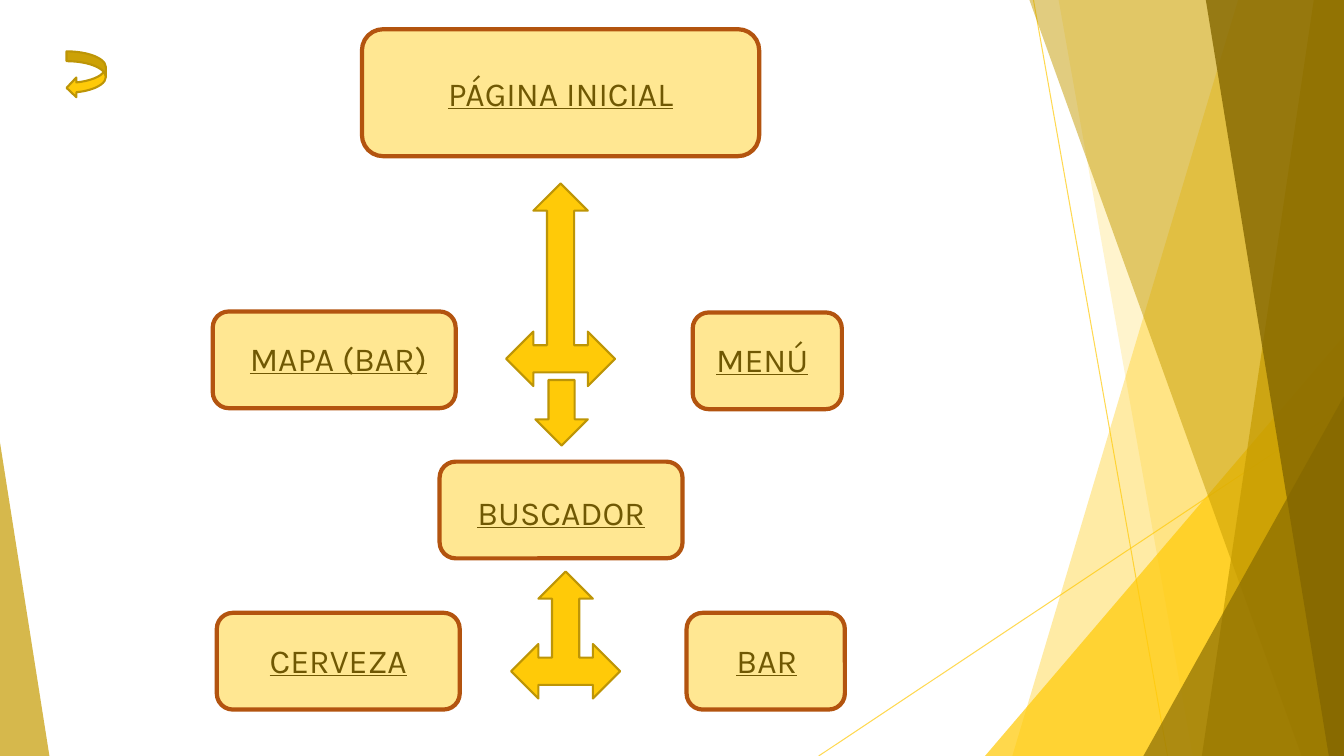
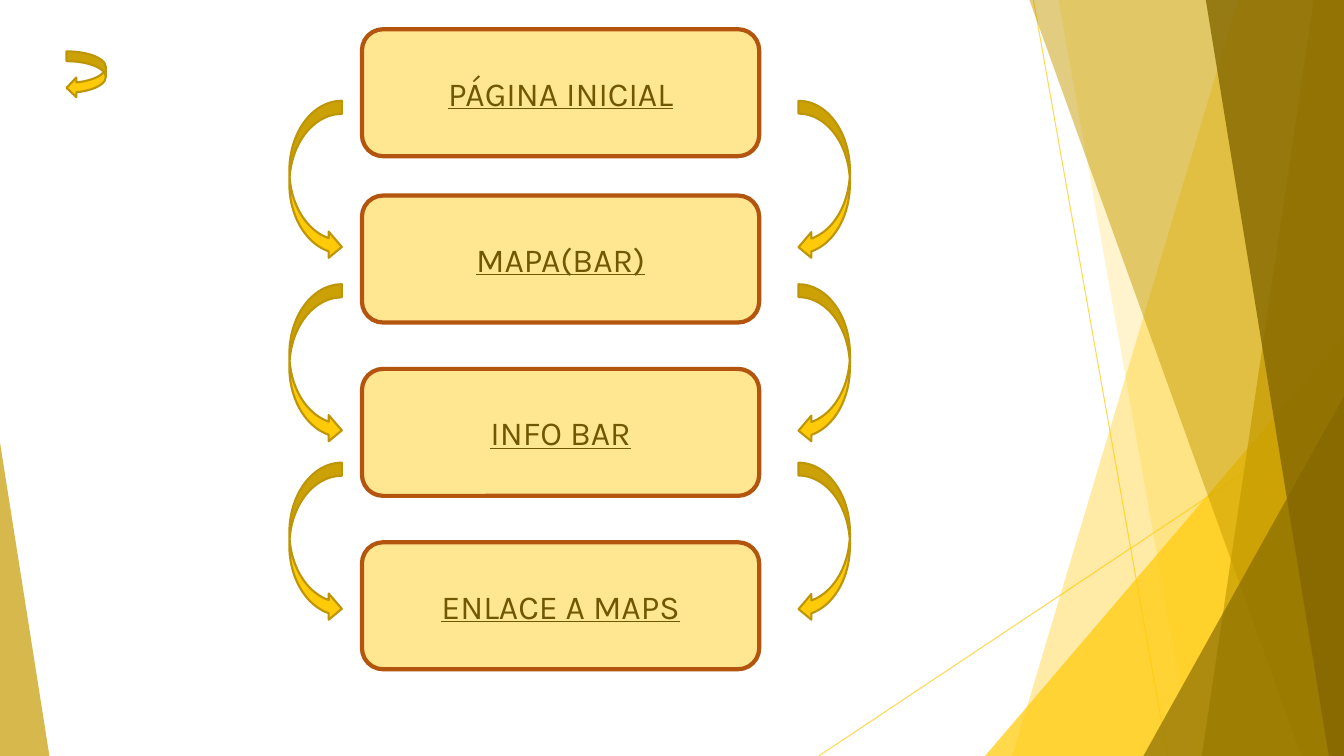
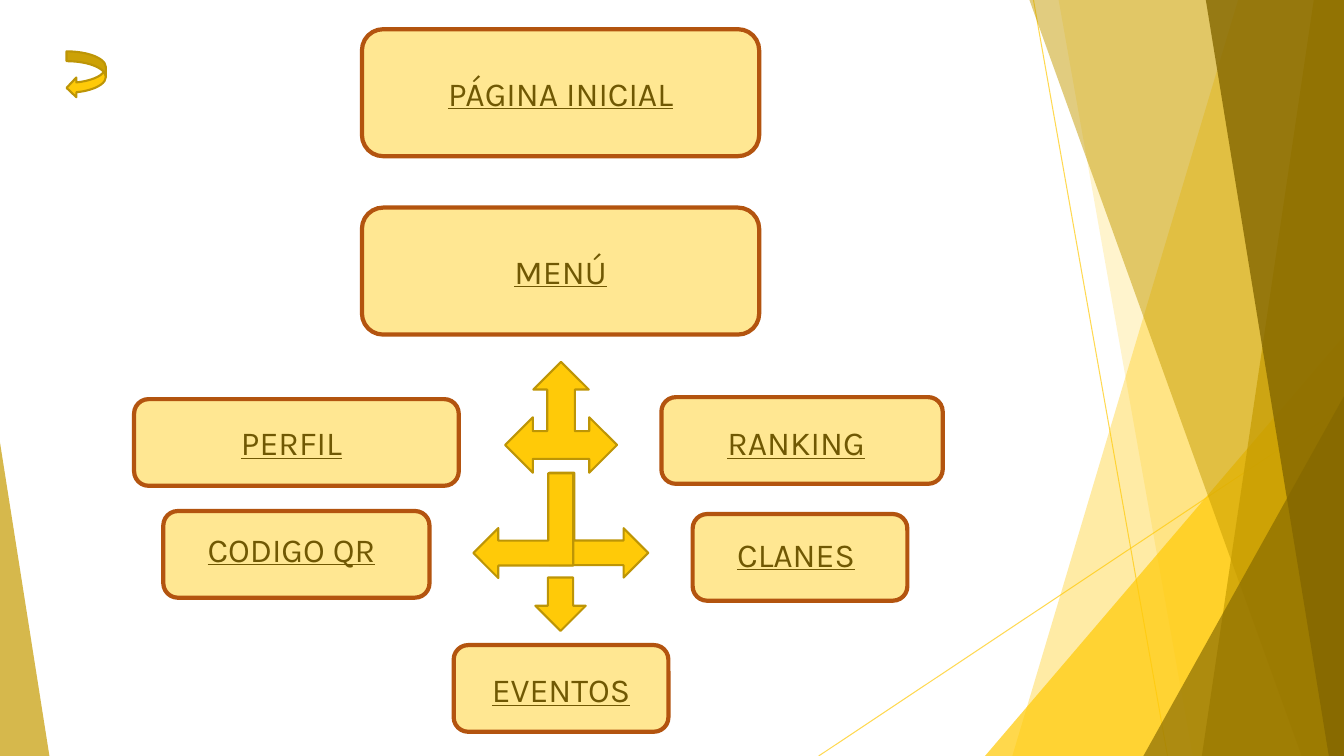
from pptx import Presentation
from pptx.dml.color import RGBColor
from pptx.enum.shapes import MSO_CONNECTOR, MSO_SHAPE
from pptx.enum.text import MSO_ANCHOR, PP_ALIGN
from pptx.oxml.ns import qn
from pptx.util import Inches, Pt
from lxml import etree

# Enum members
LINE = MSO_CONNECTOR.STRAIGHT
TRIANGLE = MSO_SHAPE.ISOSCELES_TRIANGLE
ROUNDED = MSO_SHAPE.ROUNDED_RECTANGLE
THREE_WAY = MSO_SHAPE.LEFT_RIGHT_UP_ARROW
DOWN = MSO_SHAPE.DOWN_ARROW
BENT = MSO_SHAPE.BENT_UP_ARROW
CURVED_LEFT = MSO_SHAPE.CURVED_LEFT_ARROW
CURVED_RIGHT = MSO_SHAPE.CURVED_RIGHT_ARROW
CENTER = PP_ALIGN.CENTER
MIDDLE = MSO_ANCHOR.MIDDLE

# Theme
WIDTH, HEIGHT = 13.33, 7.5
YELLOW, GOLD, OLIVE = "FFCA08", "C59B00", "846700"
ARROW_EDGE, BOX_EDGE, TEXT = "BD9506", "B3540F", "000000"
FONT = "Karla"
LABEL_W, LABEL_H = 2.91, 0.5
MAIN_X, MAIN_Y, MAIN_W, MAIN_H = 3.59, 0.29, 3.94, 1.26

# Bands on the right: top left, bottom left, colour, opacity
BANDS_BACK = [(12.28, 10.04, YELLOW, 36), (10.5, 11.83, YELLOW, 20)]
BANDS_FRONT = [(10.21, 12.91, GOLD, 50), (13.03, 11.92, GOLD, 70),
               (11.96, 13.18, OLIVE, 80)]


def rgb(color):
    return RGBColor.from_string(color)


def set_alpha(sp, percent):
    for clr in sp._element.spPr.iter(qn("a:srgbClr")):
        etree.SubElement(clr, qn("a:alpha")).set("val", str(percent * 1000))


def style(sp, color, alpha=100, edge=None, edge_pt=1.5):
    sp.shadow.inherit = False
    sp.fill.solid()
    sp.fill.fore_color.rgb = rgb(color)
    if alpha < 100:
        set_alpha(sp, alpha)
    if edge:
        sp.line.color.rgb = rgb(edge)
        sp.line.width = Pt(edge_pt)
    else:
        sp.line.fill.background()


def add_preset(s, kind, x, y, w, h):
    return s.shapes.add_shape(kind, Inches(x), Inches(y), Inches(w), Inches(h))


# Backdrop
def add_ray(s, x1, y1, x2, y2):
    cn = s.shapes.add_connector(LINE, Inches(x1), Inches(y1), Inches(x2), Inches(y2))
    cn.line.color.rgb = rgb(YELLOW)
    cn.line.width = Pt(0.75)
    set_alpha(cn, 70)
    etree.SubElement(cn._element.spPr, qn("a:effectLst"))


def add_band(s, top_x, bottom_x, color, alpha):
    fb = s.shapes.build_freeform(Inches(top_x), 0)
    corners = [(WIDTH, 0), (WIDTH, HEIGHT), (bottom_x, HEIGHT)]
    fb.add_line_segments([(Inches(x), Inches(y)) for x, y in corners], close=True)
    style(fb.convert_to_shape(), color, alpha)


def add_corner(s, x, y, w, apex, color, alpha):
    sp = add_preset(s, TRIANGLE, x, y, w, HEIGHT - y)
    sp.adjustments[0] = apex
    style(sp, color, alpha)


def add_backdrop(s):
    add_ray(s, 10.25, 0, 11.58, HEIGHT)
    add_ray(s, WIDTH, 4.03, 8.12, HEIGHT)
    for band in BANDS_BACK:
        add_band(s, *band)
    add_corner(s, 9.77, 3.33, 3.56, 1, YELLOW, 72)
    for band in BANDS_FRONT:
        add_band(s, *band)
    add_corner(s, 11.34, 3.93, 1.99, 1, OLIVE, 66)
    add_corner(s, 0, 4.39, 0.49, 0, GOLD, 70)


# Diagram elements
def add_arrow(s, kind, x, y, w, h, rotation=0, flip=False):
    sp = add_preset(s, kind, x, y, w, h)
    style(sp, YELLOW, edge=ARROW_EDGE)
    sp.rotation = rotation
    if flip:
        sp._element.spPr.find(qn("a:xfrm")).set("flipV", "1")


def add_label(s, text, cx, cy):
    tb = s.shapes.add_textbox(Inches(cx - LABEL_W / 2), Inches(cy - LABEL_H / 2),
                              Inches(LABEL_W), Inches(LABEL_H))
    tf = tb.text_frame
    tf.word_wrap = True
    tf.vertical_anchor = MIDDLE
    p = tf.paragraphs[0]
    p.alignment = CENTER
    r = p.add_run()
    r.text = text
    r.font.name = FONT
    r.font.size = Pt(24)
    r.font.underline = True
    r.font.color.rgb = rgb(TEXT)


def add_box(s, text, x, y, w, h, dx=0, dy=0):
    """Tinted glass box over its label; dx and dy shift the label off centre."""
    add_label(s, text, x + w / 2 + dx, y + h / 2 + dy)
    style(add_preset(s, ROUNDED, x, y, w, h), YELLOW, 44, BOX_EDGE, 3)


def add_main_box(s, text, y):
    add_box(s, text, MAIN_X, y, MAIN_W, MAIN_H)


def new_slide(prs):
    s = prs.slides.add_slide(prs.slide_layouts[6])
    add_backdrop(s)
    add_arrow(s, CURVED_LEFT, 0.66, 0.51, 0.39, 0.46)
    add_main_box(s, "PÁGINA INICIAL", MAIN_Y)
    return s


# Slides
def home_slide(prs):
    s = new_slide(prs)
    add_arrow(s, THREE_WAY, 5.02, 1.82, 1.08, 2.01)
    add_arrow(s, DOWN, 5.31, 3.77, 0.52, 0.65)
    add_arrow(s, THREE_WAY, 5.07, 5.67, 1.08, 1.26)
    h = 0.96
    add_box(s, "MAPA (BAR)", 2.11, 3.09, 2.41, h, 0.04, -0.02)
    add_box(s, "MENÚ", 6.87, 3.1, 1.48, h, -0.05, -0.02)
    add_box(s, "BUSCADOR", 4.36, 4.58, 2.41, h, 0, 0.02)
    add_box(s, "CERVEZA", 2.15, 6.08, 2.41, h, 0, -0.01)
    add_box(s, "BAR", 6.81, 6.08, 1.57, h, 0.01, -0.01)


def map_slide(prs):
    s = new_slide(prs)
    for i, text in enumerate(["MAPA(BAR)", "INFO BAR", "ENLACE A MAPS"]):
        add_main_box(s, text, 1.94 + 1.72 * i)
    for y in (1, 2.82, 4.59):
        add_arrow(s, CURVED_LEFT, 7.92, y, 0.51, 1.58)
        add_arrow(s, CURVED_RIGHT, 2.87, y, 0.52, 1.58)


def menu_slide(prs):
    s = new_slide(prs)
    add_main_box(s, "MENÚ", 2.06)
    add_arrow(s, THREE_WAY, 5.01, 3.59, 1.11, 1.1)
    add_arrow(s, BENT, 5.42, 4.72, 1.04, 0.98, rotation=90)
    add_arrow(s, BENT, 4.67, 4.72, 1.04, 0.99, rotation=90, flip=True)
    add_arrow(s, DOWN, 5.31, 5.73, 0.5, 0.53)
    h = 0.86
    add_box(s, "PERFIL", 1.33, 3.96, 3.22, h, -0.05)
    add_box(s, "CODIGO QR", 1.62, 5.07, 2.64, h, -0.05, -0.05)
    add_box(s, "RANKING", 6.56, 3.94, 2.79, h, -0.06, 0.02)
    add_box(s, "CLANES", 6.87, 5.1, 2.13, h, -0.04, -0.03)
    add_box(s, "EVENTOS", 4.5, 6.4, 2.13, h, 0, 0.01)


def main():
    prs = Presentation()
    prs.slide_width, prs.slide_height = Inches(WIDTH), Inches(HEIGHT)
    home_slide(prs)
    map_slide(prs)
    menu_slide(prs)
    prs.save("out.pptx")


if __name__ == "__main__":
    main()
